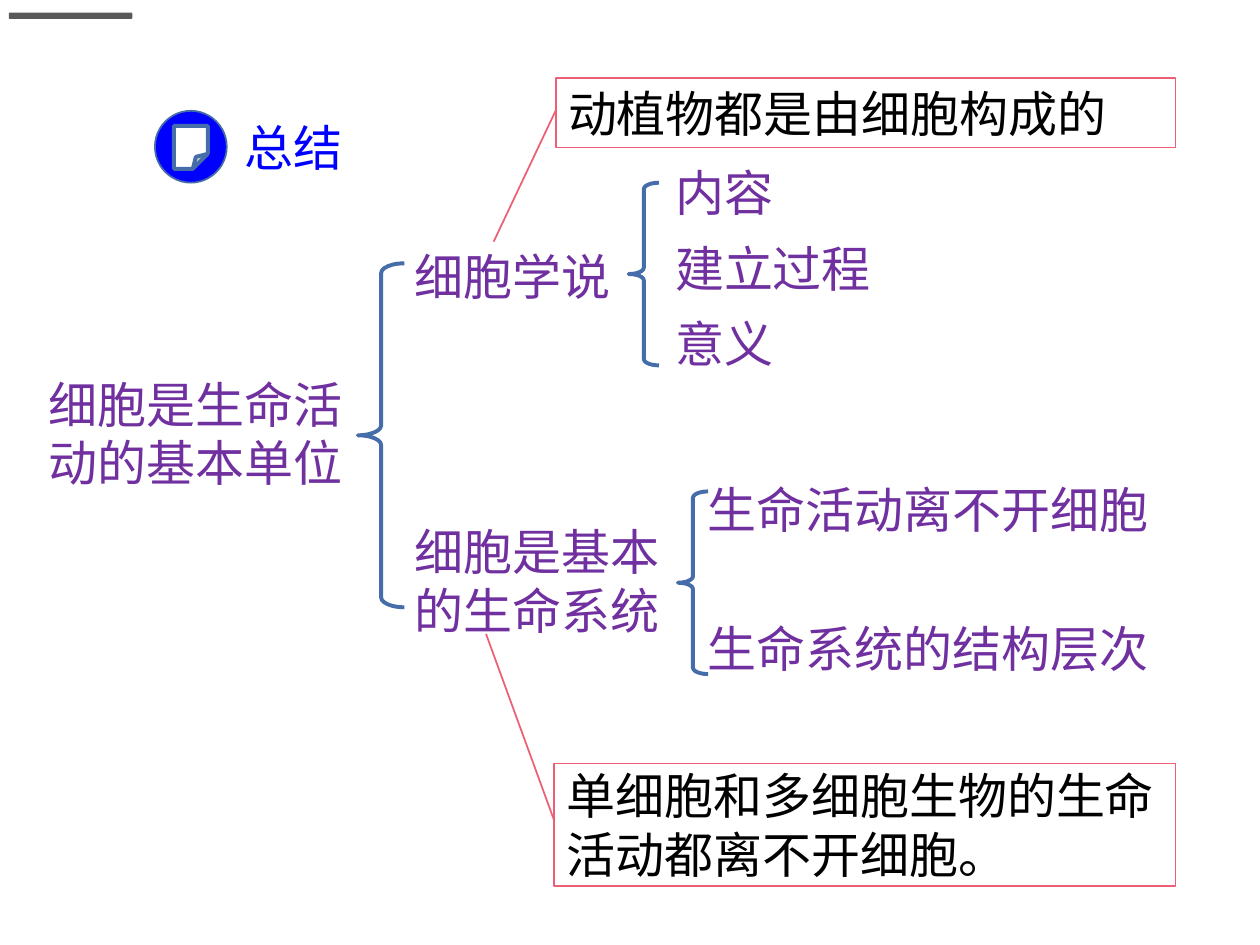
import pptx
import pptx.util
import pptx.dml.color
import pptx.enum.shapes
import pptx.enum.text
import pptx.oxml.ns
import lxml.etree

Inches = pptx.util.Inches
Pt = pptx.util.Pt
RGBColor = pptx.dml.color.RGBColor
SHAPE = pptx.enum.shapes.MSO_SHAPE
ANCHOR = pptx.enum.text.MSO_ANCHOR
ALIGN = pptx.enum.text.PP_ALIGN
qn = pptx.oxml.ns.qn

BLUE = RGBColor(0x00, 0x00, 0xFF)
OUTLINE = RGBColor(0x44, 0x6D, 0xA9)
PURPLE = RGBColor(0x70, 0x30, 0xA0)
PINK = RGBColor(0xEC, 0x5F, 0x74)
GREY = RGBColor(0x59, 0x59, 0x59)
BLACK = RGBColor(0x00, 0x00, 0x00)
WHITE = RGBColor(0xFF, 0xFF, 0xFF)
LATIN = "Arial"
CJK = "Noto Sans CJK SC"


def write_lines(frame, lines, color, font_name):
    frame.word_wrap = True
    for index, line in enumerate(lines):
        paragraph = frame.paragraphs[0] if index == 0 else frame.add_paragraph()
        paragraph.alignment = ALIGN.LEFT
        run = paragraph.add_run()
        run.text = line
        run.font.size = Pt(28)
        run.font.color.rgb = color
        run.font.name = font_name
        east_asian = lxml.etree.SubElement(run._r.get_or_add_rPr(), qn("a:ea"))
        east_asian.set("typeface", CJK)


def add_label(slide, box, lines, color=PURPLE, font_name=CJK):
    label = slide.shapes.add_textbox(*map(Inches, box))
    write_lines(label.text_frame, lines, color, font_name)


def set_adjustments(figure, values):
    """Write the guides directly, as some presets list none in python-pptx."""
    guides = figure._element.spPr.find(qn("a:prstGeom")).find(qn("a:avLst"))
    for guide in list(guides):
        guides.remove(guide)
    for number, value in enumerate(values, 1):
        guide = lxml.etree.SubElement(guides, qn("a:gd"))
        guide.set("name", "adj" if len(values) == 1 else f"adj{number}")
        guide.set("fmla", f"val {round(value * 100000)}")


def add_figure(slide, preset, box, fill=None, line=None, width=1, adjustments=()):
    """Add a preset shape; a missing fill or line stays empty."""
    figure = slide.shapes.add_shape(preset, *map(Inches, box))
    figure.shadow.inherit = False
    if adjustments:
        set_adjustments(figure, adjustments)
    if fill is None:
        figure.fill.background()
    else:
        figure.fill.solid()
        figure.fill.fore_color.rgb = fill
    if line is None:
        figure.line.fill.background()
    else:
        figure.line.color.rgb = line
        figure.line.width = Pt(width)
    return figure


def add_brace(slide, box):
    add_figure(slide, SHAPE.LEFT_BRACE, box, line=OUTLINE, width=2.25,
               adjustments=(0.21, 0.5))


def add_callout(slide, box, text, target):
    """Add a note whose leader ends at target, a (y, x) share of the box."""
    callout = add_figure(slide, SHAPE.LINE_CALLOUT_1, box, WHITE, PINK,
                         adjustments=(0.47, 0, *target))
    callout.text_frame.vertical_anchor = ANCHOR.MIDDLE
    write_lines(callout.text_frame, [text], BLACK, LATIN)


def add_heading(slide, left, top):
    size = 0.57
    add_figure(slide, SHAPE.OVAL, (left, top, size, size), BLUE, OUTLINE)
    add_figure(slide, SHAPE.FOLDED_CORNER, (left + 0.15, top + 0.12, 0.27, 0.34),
               WHITE, OUTLINE, 2.25, (0.44,))
    add_label(slide, (left + 0.61, top, 1.34, size), ["总结"], BLUE, LATIN)


def add_branch(slide, topic_box, topic, brace_box, leaf_box, leaf_step, leaves):
    """Add a topic, its brace and its leaves spaced leaf_step apart."""
    add_label(slide, topic_box, topic)
    add_brace(slide, brace_box)
    left, top, width, height = leaf_box
    for index, leaf in enumerate(leaves):
        add_label(slide, (left, top + index * leaf_step, width, height), [leaf])


def add_mind_map(slide):
    add_label(slide, (0.29, 2.92, 2.65, 1.04), ["细胞是生命活", "动的基本单位"])
    add_brace(slide, (2.84, 2.09, 0.37, 2.73))
    add_branch(slide, (3.19, 1.91, 1.82, 0.57), ["细胞学说"],
               (4.99, 1.45, 0.24, 1.45), (5.26, 1.24, 1.88, 0.57), 0.6,
               ["内容", "建立过程", "意义"])
    add_branch(slide, (3.19, 4.09, 2.27, 1.04), ["细胞是基本", "的生命系统"],
               (5.38, 3.9, 0.24, 1.45), (5.52, 3.76, 3.83, 0.57), 1.1,
               ["生命活动离不开细胞", "生命系统的结构层次"])


def main():
    presentation = pptx.Presentation()
    presentation.slide_width = Inches(10)
    presentation.slide_height = Inches(7.5)
    slide = presentation.slides.add_slide(presentation.slide_layouts[6])

    add_heading(slide, 1.23, 0.88)
    add_mind_map(slide)
    add_callout(slide, (4.41, 0.62, 4.92, 0.55), "动植物都是由细胞构成的",
                (2.36, -0.1))
    add_callout(slide, (4.4, 6.06, 4.93, 0.97),
                "单细胞和多细胞生物的生命活动都离不开细胞。", (-1.06, -0.11))
    add_figure(slide, SHAPE.ROUNDED_RECTANGLE, (0.07, 0.1, 0.98, 0.05), GREY)

    presentation.save("out.pptx")


if __name__ == "__main__":
    main()
